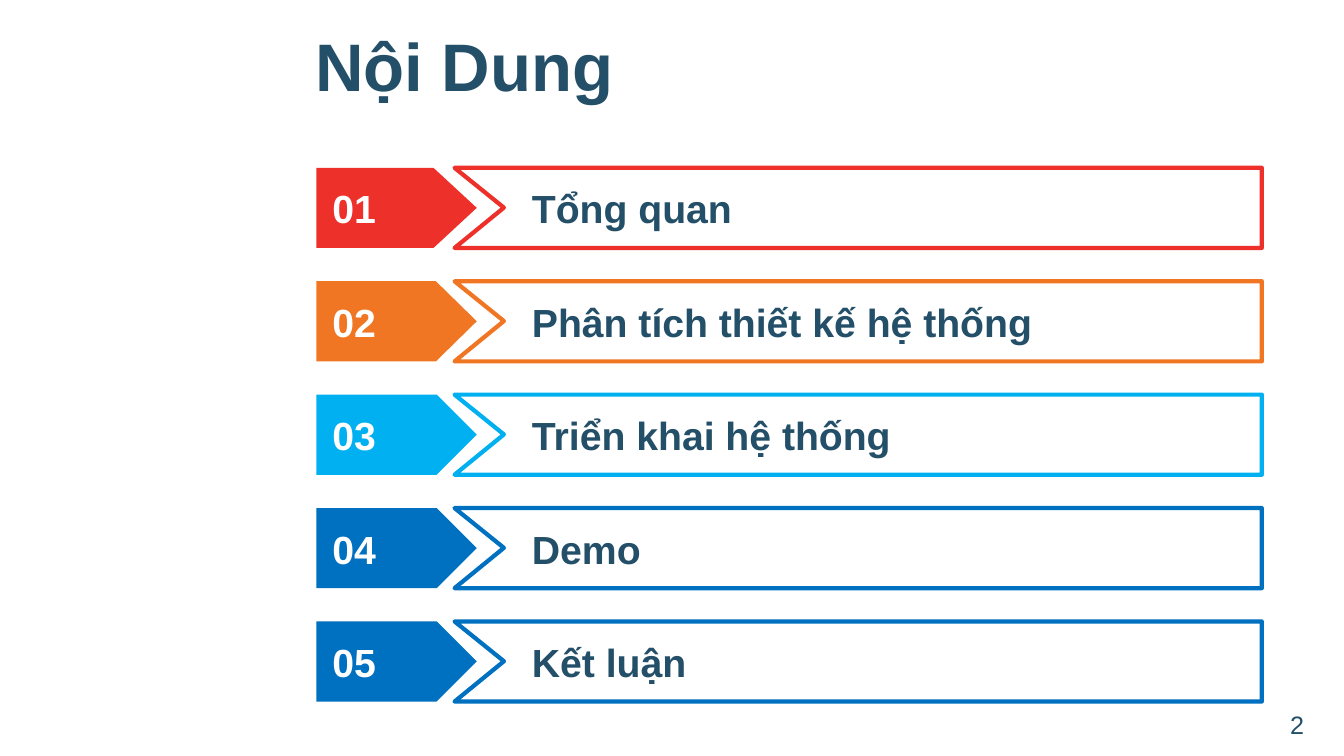
import dataclasses

import pptx
import pptx.dml.color
import pptx.enum.shapes
import pptx.enum.text
import pptx.util

PX = 4572  # EMU, 200 px to the inch
SHAPE = pptx.enum.shapes.MSO_SHAPE
ANCHOR = pptx.enum.text.MSO_ANCHOR
ALIGN = pptx.enum.text.PP_ALIGN


@dataclasses.dataclass(frozen=True)
class Theme:
    font: str = "Arial"
    ink: str = "234F68"
    white: str = "FFFFFF"
    red: str = "EE302A"
    orange: str = "F07624"
    sky: str = "00B0F0"
    blue: str = "0070C0"
    title: int = 48
    item: int = 28
    page: int = 18
    line: int = 3


THEME = Theme()

# Agenda rows: label, colour, depth of the tag's point
ITEMS = [
    ("Tổng quan", THEME.red, 0.54),
    ("Phân tích thiết kế hệ thống", THEME.orange, 0.51),
    ("Triển khai hệ thống", THEME.sky, 0.5),
    ("Demo", THEME.blue, 0.5),
    ("Kết luận", THEME.blue, 0.5),
]
TOP, PITCH, HIGH = 333, 225, 159


def rgb(code):
    return pptx.dml.color.RGBColor.from_string(code)


def box(*px):
    return [n * PX for n in px]


def paint(shape, fill):
    shape.shadow.inherit = False
    shape.fill.solid()
    shape.fill.fore_color.rgb = rgb(fill)
    shape.line.fill.background()


def write(shape, text, size, color, bold=True, pad=10):
    frame = shape.text_frame
    frame.word_wrap = True
    frame.vertical_anchor = ANCHOR.MIDDLE
    frame.margin_top = frame.margin_bottom = pad * PX
    frame.text = text
    para = frame.paragraphs[0]
    para.alignment = ALIGN.LEFT
    font = para.runs[0].font
    font.name = THEME.font
    font.size = pptx.util.Pt(size)
    font.bold = bold
    font.color.rgb = rgb(color)


def add_tag(shapes, top, color, depth):
    tag = shapes.add_shape(SHAPE.PENTAGON, *box(628, top, 318, HIGH))
    tag.adjustments[0] = depth
    paint(tag, color)


def add_bar(shapes, top, color):
    left, right, notch = 902, 2504, 1000
    low = top + HIGH
    pen = shapes.build_freeform(left, top, scale=PX)
    pen.add_line_segments(
        [(right, top), (right, low), (left, low), (notch, top + HIGH // 2)]
    )
    bar = pen.convert_to_shape()
    paint(bar, THEME.white)
    bar.line.color.rgb = rgb(color)
    bar.line.width = pptx.util.Pt(THEME.line)


def add_text(shapes, place, text, size, color, pad=10):
    write(shapes.add_textbox(*box(*place)), text, size, color, pad=pad)


def add_row(slide, index, label, color, depth):
    top = TOP + index * PITCH
    shapes = slide.shapes.add_group_shape().shapes
    add_tag(shapes, top, color, depth)
    add_bar(shapes, top, color)
    add_text(shapes, (640, top + 33, 172, 94), f"{index + 1:02}",
             THEME.item, THEME.white, pad=0)
    add_text(shapes, (1036, top + 23, 1346, 114), label,
             THEME.item, THEME.ink)


def add_page(slide, number):
    badge = slide.shapes.add_shape(
        SHAPE.ROUND_2_DIAG_RECTANGLE, *box(2536, 1392, 102, 90))
    paint(badge, THEME.white)
    badge.fill.background()
    write(badge, number, THEME.page, THEME.ink, bold=False)


def main():
    deck = pptx.Presentation()
    deck.slide_width, deck.slide_height = box(2667, 1500)
    slide = deck.slides.add_slide(deck.slide_layouts[6])

    # Heading
    add_text(slide.shapes, (606, 0, 2060, 258), "Nội Dung",
             THEME.title, THEME.ink)

    # Agenda
    for index, item in enumerate(ITEMS):
        add_row(slide, index, *item)

    # Page number
    add_page(slide, "2")

    deck.save("out.pptx")


if __name__ == "__main__":
    main()
